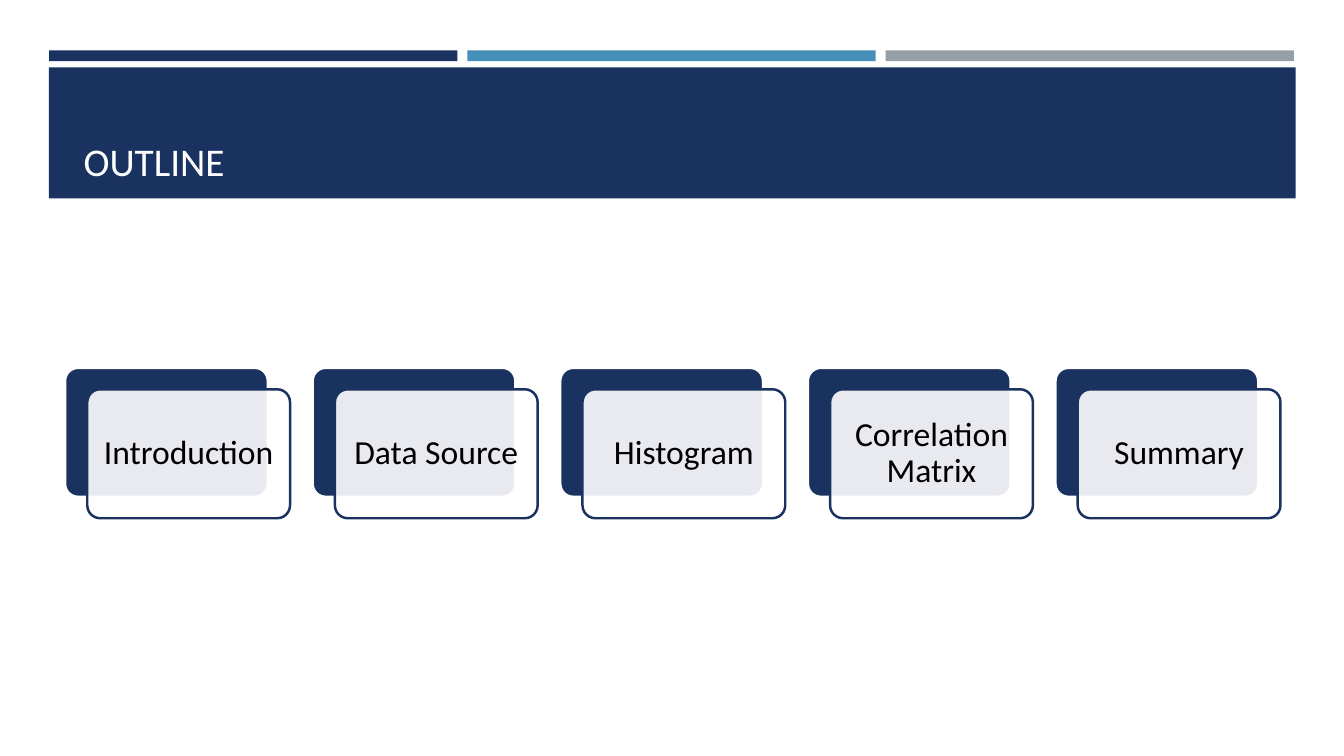
from lxml.etree import SubElement
from pptx import Presentation
from pptx.dml.color import RGBColor
from pptx.enum.shapes import MSO_SHAPE
from pptx.enum.text import MSO_ANCHOR, PP_ALIGN
from pptx.oxml.ns import qn
from pptx.util import Cm, Pt

COLORS = {
    "navy": "1A3260",
    "blue": "4590B8",
    "gray": "969FA7",
    "white": "FFFFFF",
    "title": "FFFEFF",
    "black": "000000",
}
TOPICS = ["Introduction", "Data Source", "Histogram", "Correlation Matrix", "Summary"]

presentation = Presentation()
presentation.slide_width = Cm(33.87)
presentation.slide_height = Cm(19.05)
slide = presentation.slides.add_slide(presentation.slide_layouts[6])


def add_block(kind, left, top, width, height, fill, line=None):
    """Add a filled shape, placed in centimetres, with an optional outline."""
    shape = slide.shapes.add_shape(kind, Cm(left), Cm(top), Cm(width), Cm(height))
    shape.shadow.inherit = False
    shape.fill.solid()
    shape.fill.fore_color.rgb = RGBColor.from_string(COLORS[fill])
    if line:
        shape.line.color.rgb = RGBColor.from_string(COLORS[line])
        shape.line.width = Pt(1.75)
        shape.adjustments[0] = 0.1
    else:
        shape.line.fill.background()
    return shape


def add_text(shape, text, size, color, anchor, alignment):
    """Write one run of text into a shape and return its text frame."""
    frame = shape.text_frame
    frame.word_wrap = True
    frame.vertical_anchor = anchor
    paragraph = frame.paragraphs[0]
    paragraph.alignment = alignment
    paragraph.line_spacing = 0.9
    run = paragraph.add_run()
    run.text = text
    run.font.name = "Calibri"
    run.font.size = Pt(size)
    run.font.color.rgb = RGBColor.from_string(COLORS[color])
    return frame


# Header bars and title banner
for index, color in enumerate(["navy", "blue", "gray"]):
    add_block(MSO_SHAPE.RECTANGLE, 1.24 + index * 10.54, 1.27, 10.29, 0.27, color)
add_block(MSO_SHAPE.RECTANGLE, 1.23, 1.7, 31.42, 3.3, "navy")

title = slide.shapes.add_textbox(Cm(1.63), Cm(1.96), Cm(30.63), Cm(2.82))
title_frame = add_text(title, "OUTLINE", 28, "title", MSO_ANCHOR.BOTTOM, PP_ALIGN.LEFT)
title_frame.margin_left = Cm(0.48)

# Row of topic cards, each with a navy card behind a translucent white one
CARD_WIDTH, CARD_HEIGHT, CARD_STEP = 5.11, 3.25, 6.24
for index, topic in enumerate(TOPICS):
    left = 1.64 + index * CARD_STEP
    add_block(MSO_SHAPE.ROUNDED_RECTANGLE, left, 9.27, CARD_WIDTH, CARD_HEIGHT,
              "navy", "white")
    card = add_block(MSO_SHAPE.ROUNDED_RECTANGLE, left + 0.56, 9.81, CARD_WIDTH, CARD_HEIGHT,
                     "white", "navy")
    fill_color = card.fill._xPr.find(qn("a:solidFill"))[0]
    SubElement(fill_color, qn("a:alpha"), val="90000")
    frame = add_text(card, topic, 24, "black", MSO_ANCHOR.MIDDLE, PP_ALIGN.CENTER)
    frame.margin_left = frame.margin_right = Cm(0.25)
    frame.margin_top = frame.margin_bottom = Cm(0.25)

presentation.save("out.pptx")
